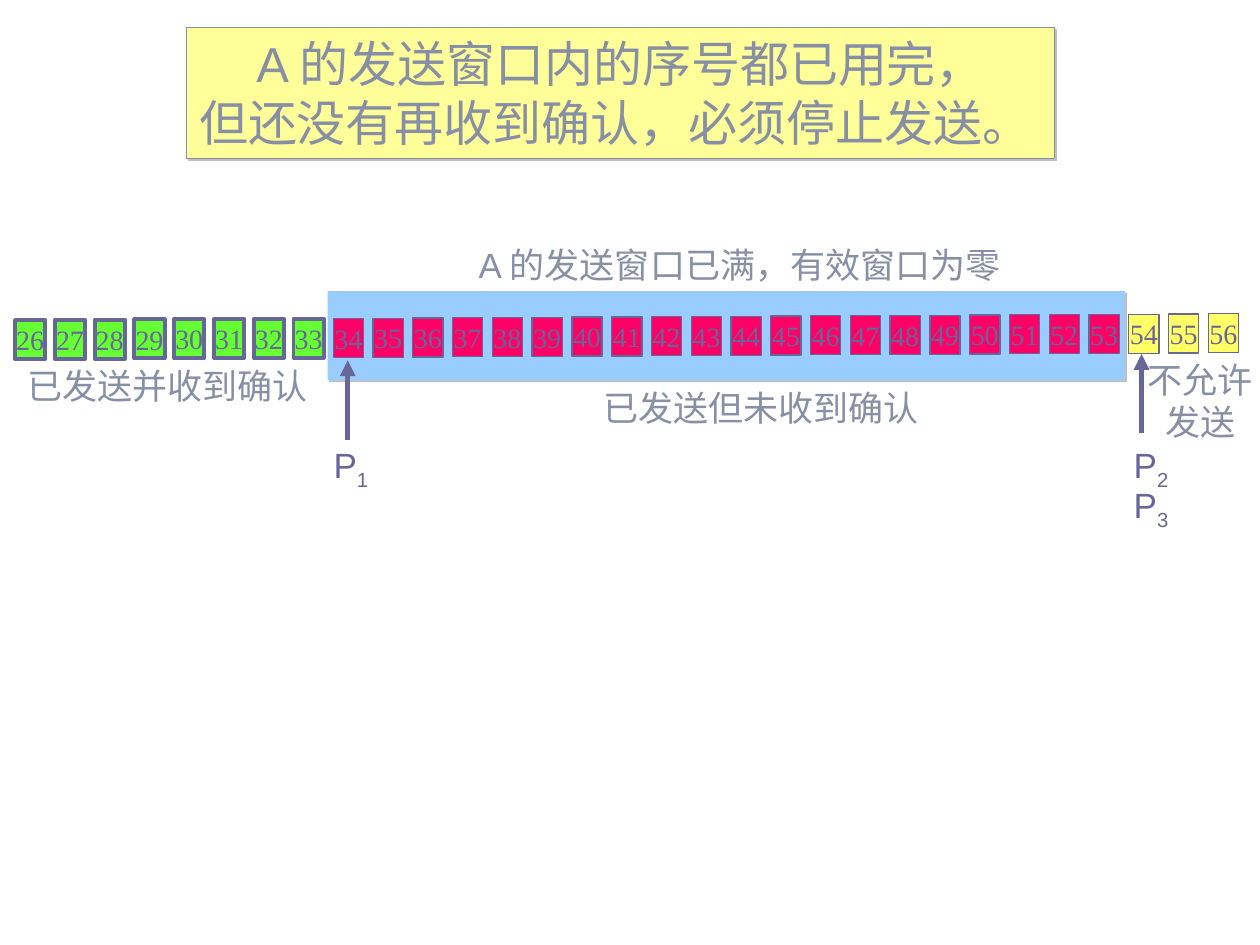
from lxml import etree
from pptx import Presentation
from pptx import util as u
from pptx.dml.color import RGBColor
from pptx.enum import shapes, text
from pptx.oxml import ns

INK = RGBColor(0x66, 0x66, 0x99)
MUTED = RGBColor(0x87, 0x8F, 0xA5)
WHITE = RGBColor(0xFF, 0xFF, 0xFF)
BANNER = RGBColor(0xFF, 0xFF, 0x99)
WINDOW = RGBColor(0x99, 0xCC, 0xFF)
CONFIRMED = RGBColor(0x66, 0xFF, 0x33)
UNCONFIRMED = RGBColor(0xFF, 0x00, 0x66)
BLOCKED = RGBColor(0xFF, 0xFF, 0x66)
SHADOW = RGBColor(0xC0, 0xC0, 0xC0)

LABEL = {"name": "Arial", "size": u.Pt(20)}
HEADING = {"name": "Arial", "size": u.Pt(28)}
NUMBER = {"name": "Times New Roman", "size": u.Pt(16)}
CENTER = text.PP_ALIGN.CENTER
LEFT = text.PP_ALIGN.LEFT
TOP = text.MSO_ANCHOR.TOP
MIDDLE = text.MSO_ANCHOR.MIDDLE


def add_run(paragraph, words, font, color):
    run = paragraph.add_run()
    run.text = words
    for name, value in font.items():
        setattr(run.font, name, value)
    run.font.color.rgb = color
    return run


def write_lines(shape, lines, font, color, align=CENTER, anchor=TOP, margin=0.1):
    frame = shape.text_frame
    settings = {
        "word_wrap": False,
        "auto_size": text.MSO_AUTO_SIZE.NONE,
        "vertical_anchor": anchor,
        "margin_left": u.Inches(margin),
        "margin_right": u.Inches(margin),
    }
    for name, value in settings.items():
        setattr(frame, name, value)
    for index, words in enumerate(lines):
        paragraph = frame.add_paragraph() if index else frame.paragraphs[0]
        paragraph.alignment = align
        add_run(paragraph, words, font, color)


def add_box(slide, box, fill, line=None, width=0.75):
    shape = slide.shapes.add_shape(shapes.MSO_SHAPE.RECTANGLE, *map(u.Inches, box))
    shape.fill.solid()
    shape.fill.fore_color.rgb = fill
    if line is None:
        shape.line.fill.background()
    else:
        shape.line.color.rgb = line
        shape.line.width = u.Pt(width)
    shape.shadow.inherit = False
    return shape


def drop_shadow(shape):
    effects = shape._element.spPr.find(ns.qn("a:effectLst"))
    shadow = etree.SubElement(
        effects, ns.qn("a:outerShdw"), dist=str(u.Pt(1.4)), dir=str(45 * 60000),
        algn="ctr", rotWithShape="0")
    etree.SubElement(shadow, ns.qn("a:srgbClr"), val=str(SHADOW))


def add_banner(slide, box):
    banner = add_box(slide, box, BANNER, MUTED)
    drop_shadow(banner)
    lines = ["A 的发送窗口内的序号都已用完，", "但还没有再收到确认，必须停止发送。 "]
    write_lines(banner, lines, HEADING, MUTED)


def add_label(slide, box, lines, color=MUTED, align=CENTER):
    label = slide.shapes.add_textbox(*map(u.Inches, box))
    write_lines(label, lines, LABEL, color, align, margin=0.05)
    return label


def add_sequence(slide, box):
    left, top, width, height = box
    pitch, total_rise, last_step = 9.47 / 30, 0.05, 30
    groups = [(26, 34, CONFIRMED, 2.25), (34, 54, UNCONFIRMED, 0.75), (54, 57, BLOCKED, 0.75)]
    for first, end, fill, line_width in groups:
        for number in range(first, end):
            step = number - 26
            place = (left + step * pitch, top - step * total_rise / last_step, width, height)
            cell = add_box(slide, place, fill, INK, line_width)
            write_lines(cell, [str(number)], NUMBER, INK, anchor=MIDDLE)


def add_pointer(slide, x, bottom, top):
    pointer = slide.shapes.add_connector(
        shapes.MSO_CONNECTOR.STRAIGHT, *map(u.Inches, (x, bottom, x, top)))
    pointer.line.color.rgb = INK
    pointer.line.width = u.Pt(3)
    properties = pointer._element.spPr
    etree.SubElement(properties.find(ns.qn("a:ln")), ns.qn("a:tailEnd"), type="triangle")
    etree.SubElement(properties, ns.qn("a:effectLst"))


def add_pointer_name(slide, box, index):
    label = add_label(slide, box, ["P"], INK)
    subscript = add_run(label.text_frame.paragraphs[0], index, LABEL, INK)
    subscript._r.get_or_add_rPr().set("baseline", "-25000")


def add_window(slide):
    add_label(slide, (9.01, 2.8, 1.03, 0.77), ["不允许", "发送"])
    add_label(slide, (0.12, 2.84, 2.42, 0.44), ["已发送并收到确认"])
    caption = add_box(slide, (3.7, 1.88, 4.42, 0.44), WHITE)
    write_lines(caption, ["A 的发送窗口已满，有效窗口为零"], LABEL, MUTED, LEFT)
    drop_shadow(add_box(slide, (2.6, 2.31, 6.33, 0.71), WINDOW))
    add_sequence(slide, (0.12, 2.54, 0.24, 0.31))
    add_label(slide, (4.74, 3.02, 2.7, 0.44), ["已发送但未收到确认"], align=LEFT)


def add_pointers(slide):
    for x, bottom, top in [(2.76, 3.49, 2.86), (9.06, 3.44, 2.81)]:
        add_pointer(slide, x, bottom, top)
    for index, left, top in [("1", 2.55, 3.47), ("2", 8.9, 3.47), ("3", 8.9, 3.79)]:
        add_pointer_name(slide, (left, top, 0.47, 0.48), index)


def main():
    presentation = Presentation()
    presentation.slide_width = u.Inches(10)
    presentation.slide_height = u.Inches(7.5)
    slide = presentation.slides.add_slide(presentation.slide_layouts[6])
    add_window(slide)
    add_pointers(slide)
    add_banner(slide, (1.48, 0.22, 6.89, 1.04))
    presentation.save("out.pptx")


if __name__ == "__main__":
    main()
